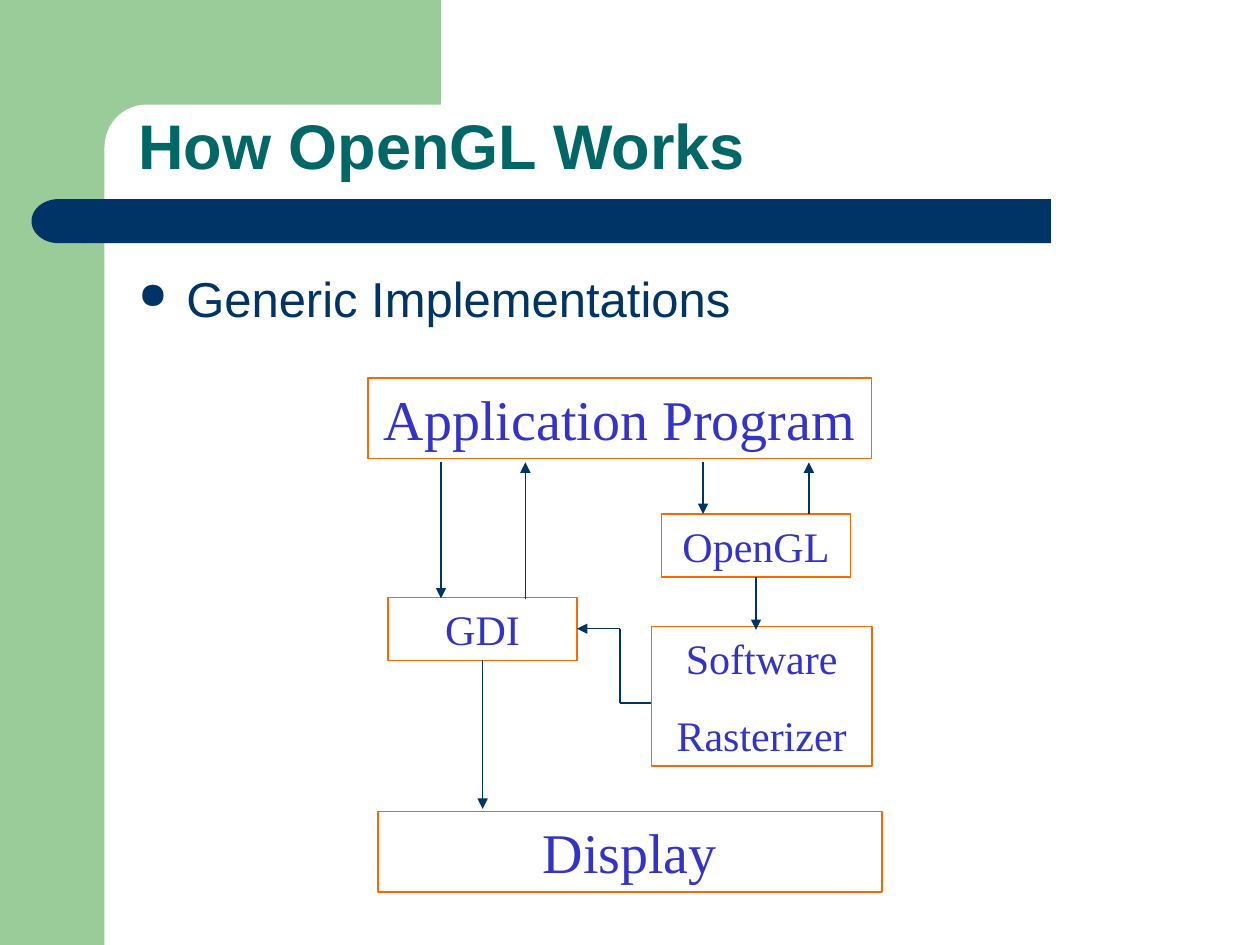
"""Build the slide on how OpenGL works, with its flow of boxes and arrows."""
from dataclasses import dataclass

from lxml import etree
from pptx import Presentation
from pptx.dml.color import RGBColor
from pptx.enum.shapes import MSO_CONNECTOR, MSO_SHAPE
from pptx.enum.text import MSO_ANCHOR, PP_ALIGN
from pptx.oxml.ns import qn
from pptx.util import Inches, Pt

RECT = MSO_SHAPE.RECTANGLE
ROUND = MSO_SHAPE.ROUNDED_RECTANGLE
DELAY = MSO_SHAPE.FLOWCHART_DELAY
LINE = MSO_CONNECTOR.STRAIGHT
TOP, BASE = MSO_ANCHOR.TOP, MSO_ANCHOR.BOTTOM
LEFT, MID = PP_ALIGN.LEFT, PP_ALIGN.CENTER
SOUTH, EAST = 2, 3


@dataclass(frozen=True)
class Theme:
    green: str = "99CC99"
    white: str = "FFFFFF"
    navy: str = "003366"
    teal: str = "006666"
    orange: str = "FF6600"
    blue: str = "3333CC"
    sans: str = "Arial"
    serif: str = "Times New Roman"
    head: int = 36
    body: int = 28
    large: int = 32
    small: int = 24
    rule: float = 0.75


class Deck:
    def __init__(self, theme):
        self.theme = theme
        self.file = Presentation()
        self.file.slide_width = Inches(10)
        self.file.slide_height = Inches(7.5)
        self.slide = self.file.slides.add_slide(self.file.slide_layouts[6])

    def shape(self, kind, at, fill=None, line=None):
        item = self.slide.shapes.add_shape(kind, *map(Inches, at))
        item.shadow.inherit = False
        if fill:
            item.fill.solid()
            item.fill.fore_color.rgb = RGBColor.from_string(fill)
        else:
            item.fill.background()
        if line:
            item.line.color.rgb = RGBColor.from_string(line)
            item.line.width = Pt(self.theme.rule)
        else:
            item.line.fill.background()
        return item

    def letter(self, item, text, color, align=MID, anchor=TOP, gap=0, **form):
        frame = item.text_frame
        frame.word_wrap = True
        frame.vertical_anchor = anchor
        frame.text = text
        for rank, para in enumerate(frame.paragraphs):
            para.alignment = align
            para.space_before = Pt(gap if rank else 0)
            font = para.runs[0].font
            for name, value in form.items():
                setattr(font, name, value)
            font.color.rgb = RGBColor.from_string(color)
        return frame.paragraphs[0]

    def label(self, at, text, color, **form):
        item = self.slide.shapes.add_textbox(*map(Inches, at))
        return self.letter(item, text, color, align=LEFT, **form)

    def bullet(self, at, text):
        look = self.theme
        para = self.label(at, text, look.navy, name=look.sans, size=Pt(look.body))
        props = para._p.get_or_add_pPr()
        props.set("marL", str(Inches(0.38)))
        props.set("indent", str(-Inches(0.38)))
        tint = etree.SubElement(props, qn("a:buClr"))
        etree.SubElement(tint, qn("a:srgbClr"), val=look.navy)
        etree.SubElement(props, qn("a:buSzPct"), val="75000")
        etree.SubElement(props, qn("a:buChar"), char="●")

    def box(self, at, text, size):
        look = self.theme
        item = self.shape(RECT, at, line=look.orange)
        self.letter(item, text, look.blue, gap=15, name=look.serif, size=Pt(size))
        return item

    def link(self, start, end, tip=True, out=None, into=None):
        item = self.slide.shapes.add_connector(LINE, *map(Inches, start + end))
        if out:
            item.begin_connect(*out)
        if into:
            item.end_connect(*into)
        item.line.color.rgb = RGBColor.from_string(self.theme.navy)
        item.line.width = Pt(self.theme.rule)
        props = item._element.spPr
        if tip:
            etree.SubElement(props.find(qn("a:ln")), qn("a:tailEnd"), type="triangle")
        etree.SubElement(props, qn("a:effectLst"))


def main():
    look = Theme()
    deck = Deck(look)

    deck.shape(RECT, (0, 0, 0.83, 7.5), look.green)
    deck.shape(RECT, (0.75, 0, 2.75, 1.17), look.green)
    panel = deck.shape(ROUND, (0.83, 0.83, 5.58, 0.67), look.white)
    panel.adjustments[0] = 0.5
    deck.shape(RECT, (0.67, 1.58, 7.67, 0.35), look.navy)
    deck.shape(DELAY, (0.25, 1.58, 0.43, 0.35), look.navy).rotation = 180

    title = deck.label((1, 0.75, 8.75, 0.75), "How OpenGL Works", look.teal,
                       anchor=BASE, name=look.sans, size=Pt(look.head), bold=True)
    title.line_spacing = 0.9
    deck.bullet((1, 2.08, 8.75, 4.83), "Generic Implementations")

    deck.box((2.92, 3, 4, 0.64), "Application Program", look.large)
    gdi = deck.box((3.08, 4.74, 1.5, 0.5), "GDI", look.small)
    opengl = deck.box((5.25, 4.08, 1.5, 0.5), "OpenGL", look.small)
    deck.box((3, 6.44, 4, 0.64), "Display", look.large)
    deck.box((5.17, 4.97, 1.75, 1.11), "Software\nRasterizer", look.small)

    for down, up, low in ((3.5, 4.17, 4.75), (5.58, 6.42, 4.08)):
        deck.link((down, 3.67), (down, low))
        deck.link((up, low), (up, 3.67))
    deck.link((6, 4.58), (6, 5), out=(opengl, SOUTH))
    deck.link((3.83, 5.24), (3.83, 6.42), out=(gdi, SOUTH))
    deck.link((5.17, 5.58), (4.92, 5.58), tip=False)
    deck.link((4.92, 5.58), (4.92, 4.99), tip=False)
    deck.link((4.92, 4.99), (4.58, 4.99), into=(gdi, EAST))

    deck.file.save("out.pptx")


if __name__ == "__main__":
    main()
